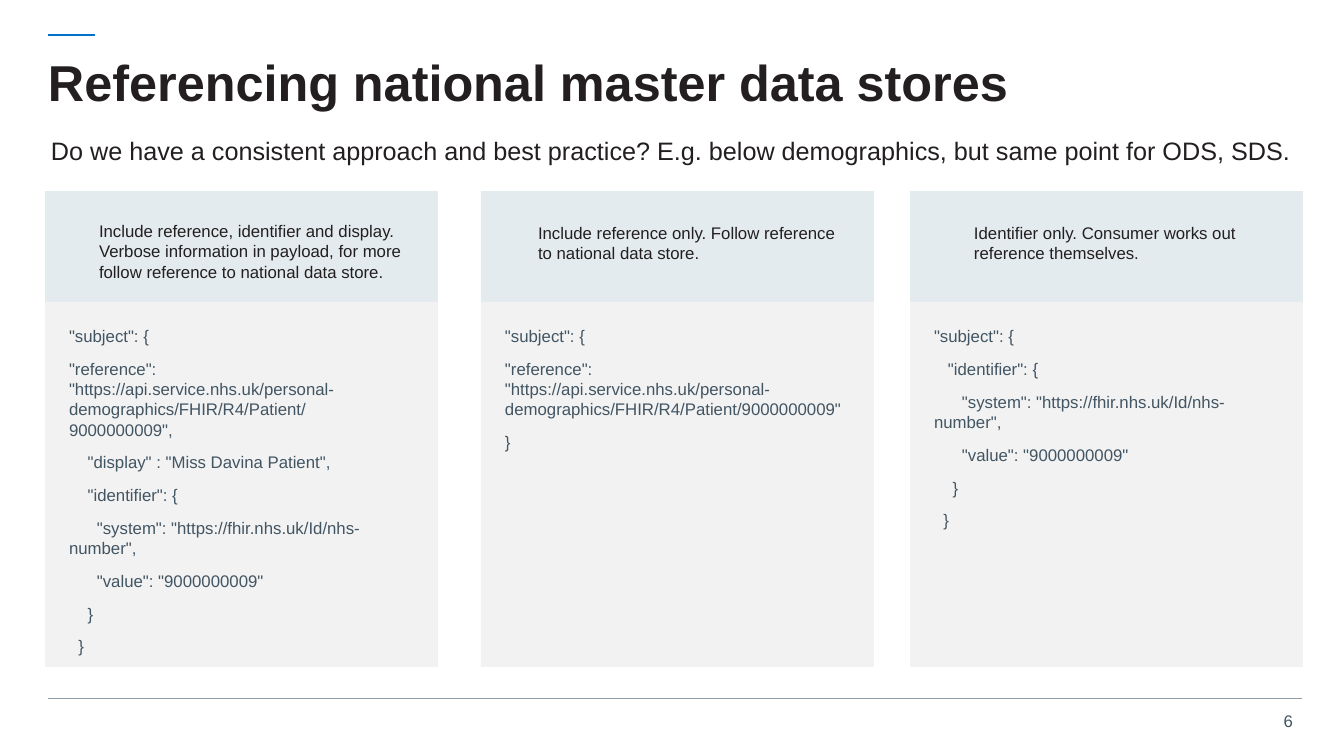
from lxml.etree import SubElement
from pptx import Presentation
from pptx.dml.color import RGBColor
from pptx.enum.shapes import MSO_CONNECTOR, MSO_SHAPE
from pptx.enum.text import MSO_ANCHOR, PP_ALIGN
from pptx.oxml.ns import qn
from pptx.util import Pt

# Content
TITLE = "Referencing national master data stores"
QUESTION = ("Do we have a consistent approach and best practice? "
            "E.g. below demographics, but same point for ODS, SDS.")
PAGE_NUMBER = "6"
REFERENCE = '"reference": "https://api.service.nhs.uk/personal-demographics/FHIR/R4/Patient/9000000009"'
SYSTEM = '      "system": "https://fhir.nhs.uk/Id/nhs-number",'
VALUE = '      "value": "9000000009"'

# Column left, summary box (left, top, height), summary, code lines
OPTIONS = [
    (45, (89, 216, 72),
     "Include reference, identifier and display. Verbose information in payload, "
     "for more follow reference to national data store.",
     ['"subject": {', REFERENCE + ",", '    "display" : "Miss Davina Patient",',
      '    "identifier": {', SYSTEM, VALUE, "    }", "  }"]),
    (481, (528, 218, 50),
     "Include reference only. Follow reference to national data store.",
     ['"subject": {', REFERENCE, "}"]),
    (910, (964, 218, 50),
     "Identifier only. Consumer works out reference themselves.",
     ['"subject": {', '   "identifier": {', SYSTEM, VALUE, "    }", "  }"]),
]

INK, SLATE, BLUE, RULE = "231F20", "425563", "0072CE", "919EA8"
HEADER_FILL, CODE_FILL = "E4EBEE", "F2F2F2"
COLUMN_WIDTH, HEADER_TOP, CODE_TOP, CODE_BOTTOM = 393, 191, 302, 667
SUMMARY_WIDTH = 325
TEXT_INSETS = (10, 5, 10, 5)
CODE_INSETS = (24, 24, 30, 24)


def px(length):
    return round(length * 914400 / 100.8)


def color(hex_string):
    return RGBColor.from_string(hex_string)


def write(shape, lines, size, ink, insets=TEXT_INSETS, bold=False, wrap=True,
          anchor=MSO_ANCHOR.TOP, align=PP_ALIGN.LEFT, after=0, spacing=1.0):
    frame = shape.text_frame
    frame.word_wrap = wrap
    frame.vertical_anchor = anchor
    frame.margin_left, frame.margin_top, frame.margin_right, frame.margin_bottom = map(px, insets)
    for index, line in enumerate(lines):
        paragraph = frame.paragraphs[0] if index == 0 else frame.add_paragraph()
        paragraph.alignment = align
        paragraph.space_after = Pt(after)
        paragraph.line_spacing = spacing
        run = paragraph.add_run()
        run.text = line
        run.font.name = "Arial"
        run.font.size = Pt(size)
        run.font.bold = bold
        run.font.color.rgb = color(ink)


def add_text(box, lines, size, ink, **style):
    write(slide.shapes.add_textbox(*map(px, box)), lines, size, ink, **style)


def add_panel(left, top, bottom, fill):
    panel = slide.shapes.add_shape(
        MSO_SHAPE.RECTANGLE, *map(px, (left, top, COLUMN_WIDTH, bottom - top)))
    panel.shadow.inherit = False
    panel.fill.solid()
    panel.fill.fore_color.rgb = color(fill)
    panel.line.fill.background()
    return panel


def add_rule(left, right, y, ink, weight):
    rule = slide.shapes.add_connector(MSO_CONNECTOR.STRAIGHT, *map(px, (left, y, right, y)))
    rule.line.color.rgb = color(ink)
    rule.line.width = Pt(weight)
    SubElement(rule._element.spPr, qn("a:effectLst"))


presentation = Presentation()
presentation.slide_width, presentation.slide_height = px(1344), px(756)
slide = presentation.slides.add_slide(presentation.slide_layouts[6])

# Accent, footer rule and page number
add_rule(48, 95, 35, BLUE, 2)
add_rule(48, 1302, 698, RULE, 0.5)
add_text((1262, 706, 41, 30), [PAGE_NUMBER], 12, SLATE, wrap=False, align=PP_ALIGN.RIGHT)

# Title and question
add_text((48, 47, 1257, 77), [TITLE], 36, INK, insets=(0, 0, 0, 0), bold=True,
         anchor=MSO_ANCHOR.MIDDLE, spacing=0.9)
add_text((41, 130, 1283, 40), [QUESTION], 18, INK)

# One column per referencing option
for left, (summary_left, summary_top, summary_height), summary, code in OPTIONS:
    add_panel(left, HEADER_TOP, CODE_TOP, HEADER_FILL)
    code_panel = add_panel(left, CODE_TOP, CODE_BOTTOM, CODE_FILL)
    write(code_panel, code, 12, SLATE, insets=CODE_INSETS, after=9)
    add_text((summary_left, summary_top, SUMMARY_WIDTH, summary_height), [summary], 12, INK)

presentation.save("out.pptx")
